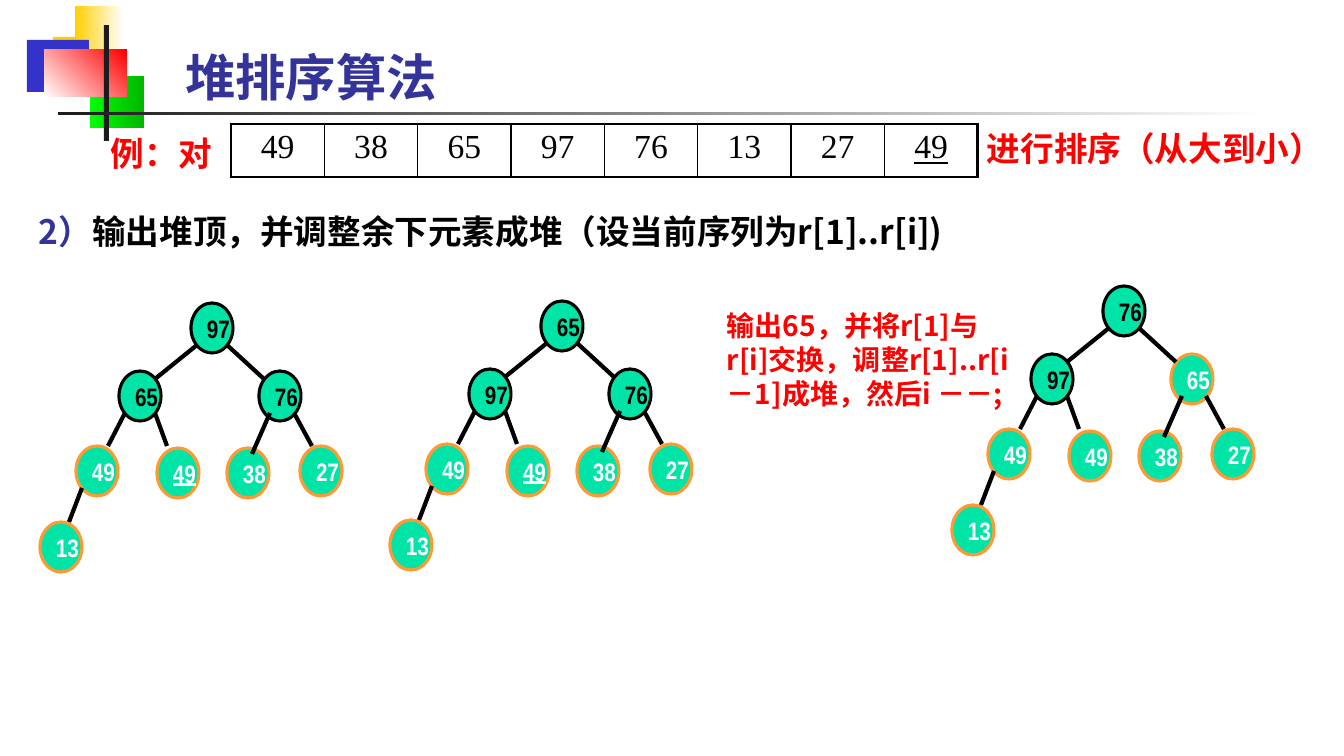
from lxml import etree
from pptx import Presentation
from pptx.dml.color import RGBColor
from pptx.enum.shapes import MSO_CONNECTOR, MSO_SHAPE
from pptx.enum.text import MSO_ANCHOR, PP_ALIGN
from pptx.oxml.ns import qn
from pptx.util import Emu, Pt

RECT, OVAL = MSO_SHAPE.RECTANGLE, MSO_SHAPE.OVAL
STRAIGHT = MSO_CONNECTOR.STRAIGHT
TOP, MIDDLE = MSO_ANCHOR.TOP, MSO_ANCHOR.MIDDLE
LEFT, CENTER = PP_ALIGN.LEFT, PP_ALIGN.CENTER

PX = 914400 / 100.8
CJK, NARROW, TIMES = "Noto Sans CJK SC", "Arial Narrow", "Times New Roman"
COLORS = {
    "black": "000000", "white": "FFFFFF", "red": "FF0000", "title": "333399",
    "blue": "3333CC", "gold": "FFCF01", "lime": "00FF00", "green": "00B600",
    "ink": "1C1C1C", "node": "00E4A8", "orange": "FF9933",
}

# Node and edge places inside a tree's box, in heap order
NODES = [(151, 0), (79, 68), (219, 68), (36, 143), (117, 145), (187, 145),
         (260, 143), (0, 219)]
EDGES = [(157, 42, 115, 76), (187, 42, 224, 76), (85, 110, 68, 143),
         (115, 110, 127, 143), (230, 110, 212, 151), (254, 110, 272, 143),
         (42, 185, 29, 219)]


def px(n):
    """Turn pixels into EMU."""
    return Emu(round(n * PX))


def rgb(name):
    """Look up a colour."""
    return RGBColor.from_string(COLORS[name])


def add_run(p, text, color, font, size, **fmt):
    """Add a formatted run with a font for Chinese characters."""
    r = p.add_run()
    r.text = text
    for key, value in {"name": font, "size": Pt(size), **fmt}.items():
        setattr(r.font, key, value)
    r.font.color.rgb = rgb(color)
    ea = etree.Element(qn("a:ea"), typeface=CJK)
    r.font._element.find(qn("a:latin")).addnext(ea)


def write_text(sp, runs, font, size, anchor=TOP):
    """Fill a text shape with one bold paragraph of (text, colour) runs."""
    tf = sp.text_frame
    for key, value in {"word_wrap": True, "vertical_anchor": anchor}.items():
        setattr(tf, key, value)
    p = tf.paragraphs[0]
    for key, value in {"alignment": LEFT, "line_spacing": Pt(size * 1.2)}.items():
        setattr(p, key, value)
    for text, color in runs:
        add_run(p, text, color, font, size, bold=True)


def add_title(slide, box, text):
    """Move the title placeholder into the box and fill it."""
    sp = slide.shapes.title
    for key, value in zip(("left", "top", "width", "height"), box):
        setattr(sp, key, px(value))
    write_text(sp, [(text, "title")], NARROW, 36, MIDDLE)


def add_label(slide, box, runs, font, size):
    """Add a text box."""
    write_text(slide.shapes.add_textbox(*map(px, box)), runs, font, size)


def add_block(slide, box, colors, angle=0):
    """Add a borderless rectangle, plain or with a two-colour gradient."""
    sp = slide.shapes.add_shape(RECT, *map(px, box))
    sp.shadow.inherit = False
    sp.line.fill.background()
    if len(colors) == 1:
        sp.fill.solid()
        sp.fill.fore_color.rgb = rgb(colors[0])
        return
    sp.fill.gradient()
    sp.fill.gradient_angle = angle
    for i, (stop, color) in enumerate(zip(sp.fill.gradient_stops, colors)):
        stop.position = i
        stop.color.rgb = rgb(color)


def add_ornament(slide, left, top):
    """Add the overlapping blocks and rules beside the title."""
    for (x, y, w, h), colors, angle in [
        ((26, 31, 65, 52), ["gold"], 0),
        ((48, 0, 48, 52), ["gold", "white"], 0),
        ((0, 34, 62, 52), ["blue"], 0),
        ((63, 70, 54, 52), ["lime", "green"], 0),
        ((17, 44, 83, 47), ["white", "red"], 45),
        ((77, 19, 5, 116), ["ink"], 0),
        ((31, 106, 1210, 3), ["ink", "white"], 0),
    ]:
        add_block(slide, (left + x, top + y, w, h), colors, angle)


def set_borders(cell, widths):
    """Give a cell black borders; widths in points for L, R, T, B."""
    tcPr = cell._tc.get_or_add_tcPr()
    for i, (side, width) in enumerate(zip("LRTB", widths)):
        ln = etree.Element(qn(f"a:ln{side}"), w=str(Pt(width)))
        fill = etree.SubElement(ln, qn("a:solidFill"))
        etree.SubElement(fill, qn("a:srgbClr"), val=COLORS["black"])
        tcPr.insert(i, ln)


def add_sequence(slide, box, values):
    """Add the one-row table of keys; the last key is underlined."""
    table = slide.shapes.add_table(1, len(values), *map(px, box)).table
    table.first_row = table.horz_banding = False
    last = len(values) - 1
    for i, value in enumerate(values):
        table.columns[i].width = px(box[2] / len(values))
        cell = table.cell(0, i)
        cell.fill.background()
        set_borders(cell, (1 if i else 2.25, 1 if i < last else 2.25, 2.25, 2.25))
        p = cell.text_frame.paragraphs[0]
        p.alignment = CENTER
        add_run(p, value, "black", TIMES, 24, underline=i == last)


def add_node(group, left, top, key, edge, color, underline):
    """Add one heap node."""
    sp = group.shapes.add_shape(OVAL, *map(px, (left, top, 42, 50)))
    sp.shadow.inherit = False
    sp.fill.solid()
    sp.fill.fore_color.rgb = rgb("node")
    sp.line.color.rgb = rgb(edge)
    sp.line.width = Pt(2.25)
    tf = sp.text_frame
    for name, value in {"word_wrap": False, "vertical_anchor": MIDDLE}.items():
        setattr(tf, name, value)
    p = tf.paragraphs[0]
    p.alignment = LEFT
    add_run(p, key, color, NARROW, 18, bold=True, underline=underline)


def add_tree(slide, left, top, keys, active, underlined=None):
    """Add a heap; the first `active` nodes have black outline and text."""
    group = slide.shapes.add_group_shape()
    for i, (key, (x, y)) in enumerate(zip(keys, NODES)):
        edge, color = ("black", "black") if i < active else ("orange", "white")
        add_node(group, left + x, top + y, key, edge, color, i == underlined)
    for x1, y1, x2, y2 in EDGES:
        ends = (left + x1, top + y1, left + x2, top + y2)
        line = group.shapes.add_connector(STRAIGHT, *map(px, ends))
        line.line.color.rgb = rgb("black")
        line.line.width = Pt(3)
        etree.SubElement(line._element.spPr, qn("a:effectLst"))


prs = Presentation()
prs.slide_width, prs.slide_height = px(1344), px(756)
slide = prs.slides.add_slide(prs.slide_layouts[5])

add_ornament(slide, 27, 6)
add_title(slide, (175, 40, 494, 72), "堆排序算法")
add_sequence(slide, (231, 124, 747, 53),
             ["49", "38", "65", "97", "76", "13", "27", "49"])
add_label(slide, (29, 206, 966, 50),
          [("2）", "title"),
           ("输出堆顶，并调整余下元素成堆（设当前序列为r[1]..r[i])", "black")], CJK, 24)
add_label(slide, (101, 128, 170, 50), [("例：对", "red")], NARROW, 24)
add_label(slide, (977, 123, 379, 50), [("进行排序（从大到小）", "red")], NARROW, 24)
add_label(slide, (717, 304, 305, 146),
          [("输出65，并将r[1]与r[i]交换，调整r[1]..r[i－1]成堆，然后i －－;", "red")],
          CJK, 20)
add_tree(slide, 40, 303, ["97", "65", "76", "49", "49", "38", "27", "13"], 3, 4)
add_tree(slide, 390, 301, ["65", "97", "76", "49", "49", "38", "27", "13"], 3, 4)
add_tree(slide, 952, 286, ["76", "97", "65", "49", "49", "38", "27", "13"], 2)

prs.save("out.pptx")
